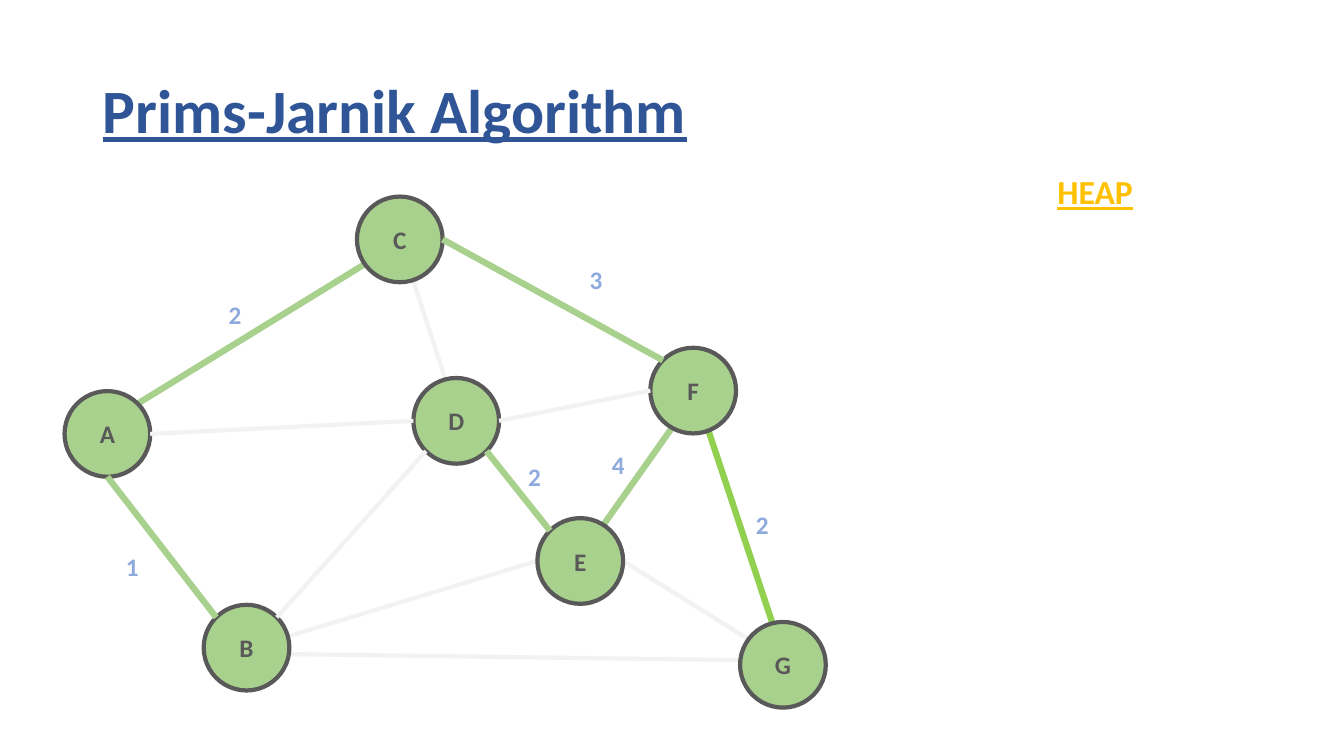
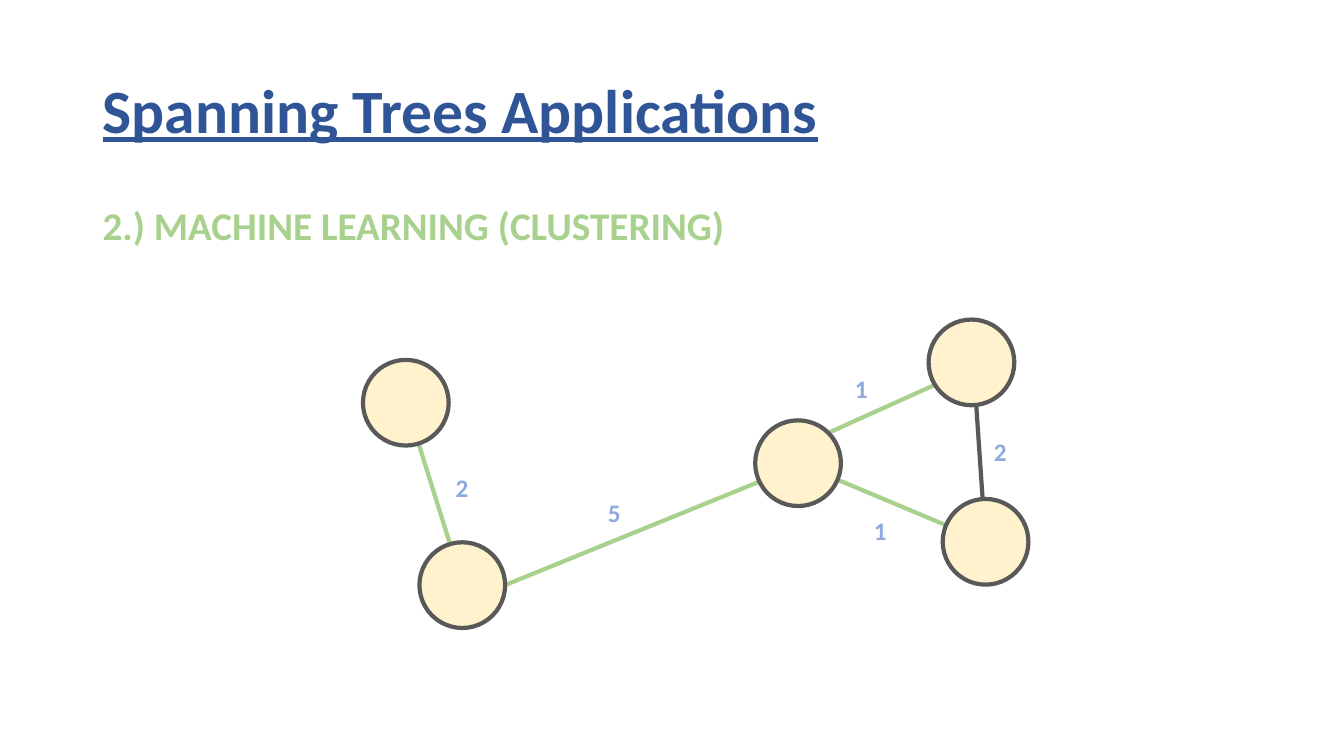
from lxml import etree
from pptx import Presentation
from pptx.dml.color import RGBColor
from pptx.enum.shapes import MSO_CONNECTOR, MSO_SHAPE
from pptx.enum.text import MSO_ANCHOR, MSO_AUTO_SIZE, PP_ALIGN
from pptx.oxml.ns import qn
from pptx.util import Pt

STRAIGHT = MSO_CONNECTOR.STRAIGHT
ELLIPSE = MSO_SHAPE.OVAL
MIDDLE = MSO_ANCHOR.MIDDLE
LEFT, CENTER = PP_ALIGN.LEFT, PP_ALIGN.CENTER
FIT_TEXT = MSO_AUTO_SIZE.SHAPE_TO_FIT_TEXT

EMU_PER_PX = 9144  # 100 px to the inch
SLIDE_WIDTH, SLIDE_HEIGHT = 1333, 750
TITLE_BOX = (92, 40, 1150, 145)
TITLE_ONLY = 5
FONT = "Calibri"
COLORS = {
    "title": "2F5597",
    "outline": "595959",
    "green": "A9D18E",
    "bright_green": "92D050",
    "cream": "FFF2CC",
    "faded": "F2F2F2",
    "weight": "8FAADC",
    "gold": "FFC000",
}

NODE_SIZE = 85
RADIUS = NODE_SIZE / 2
DIAGONAL = RADIUS * 0.5 ** 0.5
RIM = {
    "s": (0, RADIUS), "w": (-RADIUS, 0), "e": (RADIUS, 0),
    "nw": (-DIAGONAL, -DIAGONAL), "ne": (DIAGONAL, -DIAGONAL),
    "sw": (-DIAGONAL, DIAGONAL), "se": (DIAGONAL, DIAGONAL),
}
CENTRE = (0, 0)

# Edge kind: line colour, line width in points
EDGE_STYLES = {
    "tree": ("green", 4.5),
    "latest": ("bright_green", 4.5),
    "rejected": ("faded", 3),
    "cluster": ("green", 3),
    "cycle": ("outline", 3),
}

# Node positions and weight positions are relative to the graph's corner.
# An edge end is a point of the rim or an offset from the node's centre.
PRIM_NODES = {
    "A": (0, 193), "B": (138, 405), "C": (290, 0), "D": (346, 180),
    "E": (469, 319), "F": (581, 150), "G": (670, 422),
}
PRIM_EDGES = [
    ("G", (2, -4), "F", (6, 12), "latest"),
    ("G", (0, -4), "E", "e", "rejected"),
    ("E", (2, -6), "F", (-2, 10), "tree"),
    ("A", "ne", "C", (2, 2), "tree"),
    ("D", (2, -2), "C", CENTRE, "rejected"),
    ("B", (4, 0), "E", "w", "rejected"),
    ("B", (8, 6), "G", (2, -4), "rejected"),
    ("A", "e", "D", "w", "rejected"),
    ("A", "s", "B", "nw", "tree"),
    ("E", "nw", "D", "se", "tree"),
    ("B", "ne", "D", "sw", "rejected"),
    ("F", "w", "D", "e", "rejected"),
    ("F", "nw", "C", "e", "tree"),
]
PRIM_WEIGHTS = [
    ("2", 153, 97), ("1", 51, 347), ("2", 450, 258),
    ("3", 511, 62), ("2", 676, 305), ("4", 533, 246),
]
CLUSTER_NODES = {
    "upper left": (0, 40), "lower left": (56, 221), "hub": (389, 100),
    "upper right": (561, 0), "lower right": (575, 178),
}
CLUSTER_EDGES = [
    ("hub", (-8, 6), "lower left", "e", "cluster"),
    ("upper right", (0, 6), "hub", "ne", "cluster"),
    ("lower right", CENTRE, "hub", CENTRE, "cluster"),
    ("lower right", CENTRE, "upper right", (2, 2), "cycle"),
    ("lower left", (0, -2), "upper left", CENTRE, "cluster"),
]
CLUSTER_WEIGHTS = [
    ("1", 478, 48), ("2", 616, 111), ("5", 233, 171),
    ("2", 82, 147), ("1", 497, 189),
]


def emu(*lengths):
    return [round(length * EMU_PER_PX) for length in lengths]


def rgb(color):
    return RGBColor.from_string(COLORS[color])


def write(frame, text, size, color, align=LEFT, underline=None):
    """Fill a text frame with one bold paragraph and return the paragraph."""
    frame.text = text
    paragraph = frame.paragraphs[0]
    paragraph.alignment = align
    for run in paragraph.runs:
        run.font.name = FONT
        run.font.size = Pt(size)
        run.font.bold = True
        run.font.underline = underline
        run.font.color.rgb = rgb(color)
    return paragraph


def add_label(slide, box, text, size, color, underline=None):
    """Add a text box that fits its single line."""
    frame = slide.shapes.add_textbox(*emu(*box)).text_frame
    frame.word_wrap = False
    frame.auto_size = FIT_TEXT
    write(frame, text, size, color, underline=underline)


def add_titled_slide(deck, title_text):
    slide = deck.slides.add_slide(deck.slide_layouts[TITLE_ONLY])
    title = slide.shapes.title
    title.left, title.top, title.width, title.height = emu(*TITLE_BOX)
    title.text_frame.vertical_anchor = MIDDLE
    write(title.text_frame, title_text, 44, "title", underline=True).line_spacing = 0.9
    return slide


def add_node(slide, left, top, label, fill):
    node = slide.shapes.add_shape(ELLIPSE, *emu(left, top, NODE_SIZE, NODE_SIZE))
    node.shadow.inherit = False
    node.fill.solid()
    node.fill.fore_color.rgb = rgb(fill)
    node.line.color.rgb = rgb("outline")
    node.line.width = Pt(3)
    if label:
        node.text_frame.vertical_anchor = MIDDLE
        write(node.text_frame, label, 18, "outline", CENTER)


def add_edge(slide, start, end, color, width):
    edge = slide.shapes.add_connector(STRAIGHT, *emu(*start, *end))
    edge.line.color.rgb = rgb(color)
    edge.line.width = Pt(width)
    etree.SubElement(edge._element.spPr, qn("a:effectLst"))


def add_graph(slide, corner, nodes, edges, weights, fill, labelled):
    """Draw a weighted graph; edges running rim to rim lie above the nodes."""
    left, top = corner

    def end_point(node, place):
        x, y = nodes[node]
        dx, dy = RIM.get(place, place)
        return left + x + RADIUS + dx, top + y + RADIUS + dy

    def add_edges(above):
        for start, start_place, end, end_place, kind in edges:
            if (start_place in RIM and end_place in RIM) == above:
                add_edge(slide, end_point(start, start_place),
                         end_point(end, end_place), *EDGE_STYLES[kind])

    add_edges(above=False)
    for name, (x, y) in nodes.items():
        add_node(slide, left + x, top + y, name if labelled else "", fill)
    add_edges(above=True)
    for weight, x, y in weights:
        add_label(slide, (left + x, top + y, 34, 40), weight, 18, "weight")


def add_prim_slide(deck):
    slide = add_titled_slide(deck, "Prims-Jarnik Algorithm")
    add_graph(slide, (64, 195), PRIM_NODES, PRIM_EDGES, PRIM_WEIGHTS,
              "green", labelled=True)
    add_label(slide, (1039, 165, 96, 50), "HEAP", 24, "gold", underline=True)


def add_applications_slide(deck):
    slide = add_titled_slide(deck, "Spanning Trees Applications")
    application = slide.shapes.add_textbox(*emu(92, 200, 1150, 60)).text_frame
    application.word_wrap = True
    heading = write(application, "2.) MACHINE LEARNING (CLUSTERING)", 28, "green")
    heading.line_spacing = 0.9
    heading.space_before = Pt(10)
    add_graph(slide, (360, 317), CLUSTER_NODES, CLUSTER_EDGES, CLUSTER_WEIGHTS,
              "cream", labelled=False)


def main():
    deck = Presentation()
    deck.slide_width, deck.slide_height = emu(SLIDE_WIDTH, SLIDE_HEIGHT)
    add_prim_slide(deck)
    add_applications_slide(deck)
    deck.save("out.pptx")


if __name__ == "__main__":
    main()
